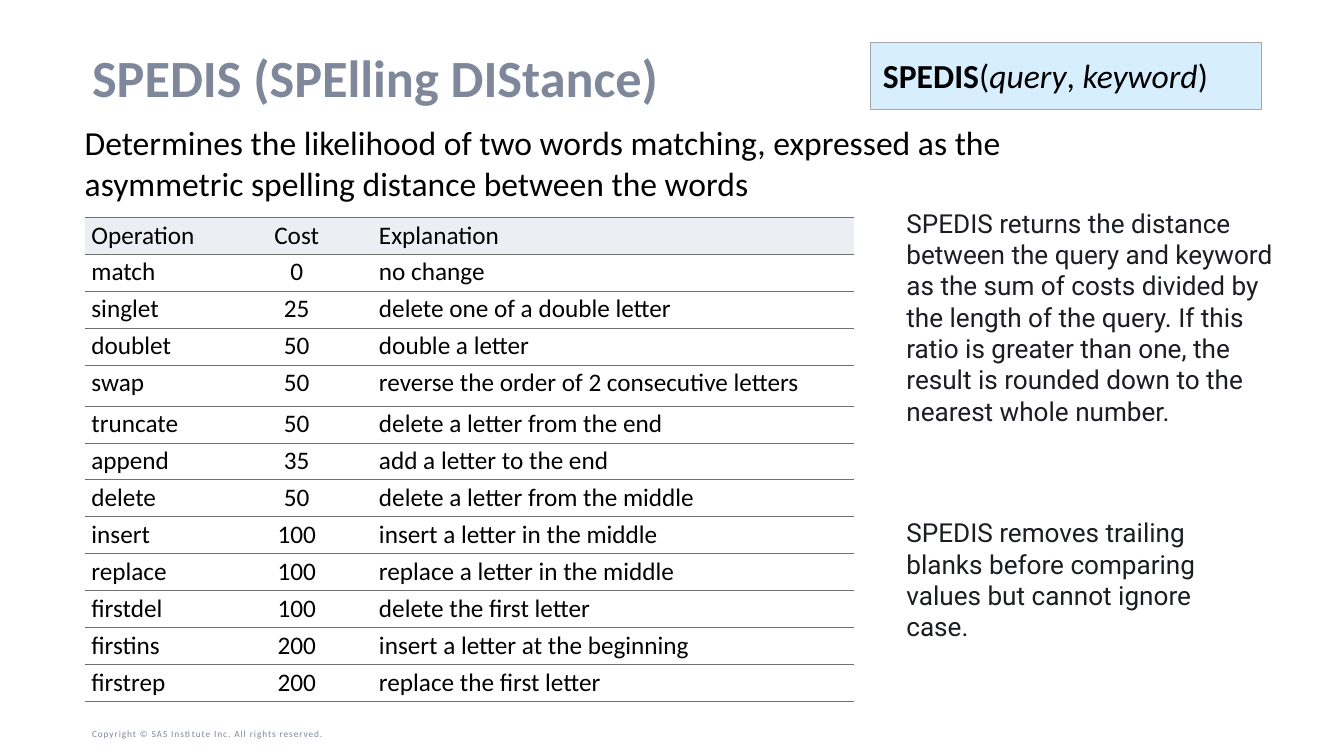
import dataclasses
import typing

import lxml.etree
import pptx
import pptx.dml.color
import pptx.enum.shapes
import pptx.enum.text
import pptx.oxml.ns
import pptx.util

SLIDE_WIDTH, SLIDE_HEIGHT = pptx.util.Inches(20), pptx.util.Inches(11.25)
GRID_COLUMNS, GRID_ROWS = 100, 45

BLACK, WHITE, SLATE, INK = "000000", "FFFFFF", "7E889A", "1B1D22"
HEADER_FILL, SYNTAX_FILL, SYNTAX_LINE, RULE = "EBEEF2", "D6EEFD", "A6A6A6", "707070"

ALIGN = pptx.enum.text.PP_ALIGN
ANCHOR = pptx.enum.text.MSO_ANCHOR


class Area(typing.NamedTuple):
    """A place on the grid of columns and rows."""
    left: float
    top: float
    width: float
    height: float


class Run(typing.NamedTuple):
    text: str
    bold: bool = False
    italic: bool = False


class Operation(typing.NamedTuple):
    name: str
    cost: str
    explanation: str


@dataclasses.dataclass
class TextBlock:
    area: Area
    runs: list[Run]
    size: float
    color: str = BLACK
    font: str = "Calibri"
    # left, top, right, bottom in grid units
    insets: tuple[float, float, float, float] = (0, 0, 0, 0)
    anchor: typing.Any = ANCHOR.TOP
    line_spacing: float = 1.0
    letter_spacing: float = 0
    fill: str = ""
    line: str = ""


DEFAULT_INSETS = (0.5, 0.2, 0.5, 0.2)

BLOCKS = [
    # Copyright line
    TextBlock(Area(6.85, 43.12, 27.5, 1.08),
              [Run("Copyright © SAS Institute Inc. All rights reserved.")],
              10, SLATE, insets=(0, 0.2, 0.5, 0.2), anchor=ANCHOR.BOTTOM, letter_spacing=1),
    # Title
    TextBlock(Area(6.85, 3.12, 86.25, 3.4), [Run("SPEDIS (SPElling DIStance)", bold=True)],
              56, SLATE, anchor=ANCHOR.MIDDLE, line_spacing=0.9),
    # Summary
    TextBlock(Area(6.3, 7.28, 78.05, 4.84),
              [Run("Determines the likelihood of two words matching, expressed as the "
                   "asymmetric spelling distance between the words")], 36),
    # Syntax box
    TextBlock(Area(64.75, 2.52, 29.15, 4),
              [Run("SPEDIS", bold=True), Run("("), Run("query", italic=True), Run(",\u00a0"),
               Run("keyword", italic=True), Run(")")],
              36, insets=(0.95, 0.76, 0.95, 0.76), fill=SYNTAX_FILL, line=SYNTAX_LINE),
    # Side notes
    TextBlock(Area(66.95, 30.56, 26.15, 7.96),
              [Run("SPEDIS removes trailing blanks before comparing values "
                   "but cannot ignore case.")],
              28, INK, "Roboto", DEFAULT_INSETS),
    TextBlock(Area(66.95, 12.12, 29.15, 13.6),
              [Run("SPEDIS returns the distance between the query and keyword as the sum of "
                   "costs divided by the length of the query. If this ratio is greater than one, "
                   "the result is rounded down to the nearest whole number.")],
              28, INK, "Roboto", DEFAULT_INSETS),
]

OPERATIONS = [
    Operation("Operation", "Cost", "Explanation"),
    Operation("match", "0", "no change"),
    Operation("singlet", "25", "delete one of a double letter"),
    Operation("doublet", "50", "double a letter"),
    Operation("swap", "50", "reverse the order of 2 consecutive letters"),
    Operation("truncate", "50", "delete a letter from the end"),
    Operation("append", "35", "add a letter to the end"),
    Operation("delete", "50", "delete a letter from the middle"),
    Operation("insert", "100", "insert a letter in the middle"),
    Operation("replace", "100", "replace a letter in the middle"),
    Operation("firstdel", "100", "delete the first letter"),
    Operation("firstins", "200", "insert a letter at the beginning"),
    Operation("firstrep", "200", "replace the first letter"),
]
TABLE_LEFT, TABLE_TOP = 6.3, 12.92
TABLE_COLUMNS = (10.15, 11.25, 35.85)
ROW_HEIGHT, SWAP_ROW_HEIGHT = 2.2, 2.44
CELL_INSETS = (0.5, 0.18, 0.5, 0.18)


def across(columns: float) -> int:
    return round(SLIDE_WIDTH * columns / GRID_COLUMNS)


def down(rows: float) -> int:
    return round(SLIDE_HEIGHT * rows / GRID_ROWS)


def place(area: Area) -> tuple[int, int, int, int]:
    return across(area.left), down(area.top), across(area.width), down(area.height)


def color(value: str) -> pptx.dml.color.RGBColor:
    return pptx.dml.color.RGBColor.from_string(value)


def apply(target: typing.Any, values: dict[str, typing.Any]) -> None:
    for name, value in values.items():
        setattr(target, name, value)


def margins(insets: tuple[float, float, float, float]) -> dict[str, int]:
    left, top, right, bottom = insets
    return {"margin_left": across(left), "margin_top": down(top),
            "margin_right": across(right), "margin_bottom": down(bottom)}


def add_run(paragraph: typing.Any, run: Run, size: float, font: str, ink: str) -> typing.Any:
    text_run = paragraph.add_run()
    text_run.text = run.text
    apply(text_run.font, {"name": font, "size": pptx.util.Pt(size),
                          "bold": run.bold, "italic": run.italic})
    text_run.font.color.rgb = color(ink)
    return text_run


def draw_block(slide: typing.Any, block: TextBlock) -> None:
    if block.fill:
        shape = slide.shapes.add_shape(pptx.enum.shapes.MSO_SHAPE.RECTANGLE, *place(block.area))
        shape.shadow.inherit = False
        shape.fill.solid()
        shape.fill.fore_color.rgb = color(block.fill)
        shape.line.color.rgb = color(block.line)
        shape.line.width = pptx.util.Pt(1)
    else:
        shape = slide.shapes.add_textbox(*place(block.area))
    apply(shape.text_frame, {"word_wrap": True, "vertical_anchor": block.anchor,
                             **margins(block.insets)})
    paragraph = shape.text_frame.paragraphs[0]
    apply(paragraph, {"alignment": ALIGN.LEFT, "line_spacing": block.line_spacing})
    for run in block.runs:
        text_run = add_run(paragraph, run, block.size, block.font, block.color)
        if block.letter_spacing:
            text_run.font._element.set("spc", str(round(block.letter_spacing * 100)))


def set_borders(cell: typing.Any) -> None:
    """Rule the cell above and below, and leave its sides open."""
    properties = cell._tc.get_or_add_tcPr()
    qualify = pptx.oxml.ns.qn
    for index, side in enumerate(("lnL", "lnR", "lnT", "lnB")):
        border = lxml.etree.Element(qualify(f"a:{side}"), w=str(pptx.util.Pt(0.75)))
        if side in ("lnT", "lnB"):
            fill = lxml.etree.SubElement(border, qualify("a:solidFill"))
            lxml.etree.SubElement(fill, qualify("a:srgbClr"), val=RULE)
        else:
            lxml.etree.SubElement(border, qualify("a:noFill"))
        properties.insert(index, border)


def draw_table(slide: typing.Any, operations: list[Operation]) -> None:
    heights = [SWAP_ROW_HEIGHT if row.name == "swap" else ROW_HEIGHT for row in operations]
    area = Area(TABLE_LEFT, TABLE_TOP, sum(TABLE_COLUMNS), sum(heights))
    table = slide.shapes.add_table(len(operations), len(TABLE_COLUMNS), *place(area)).table
    apply(table, {"first_row": False, "horz_banding": False})
    for column, width in zip(table.columns, TABLE_COLUMNS):
        column.width = across(width)
    for index, (operation, height) in enumerate(zip(operations, heights)):
        table.rows[index].height = down(height)
        header = index == 0
        for column, text in enumerate(operation):
            cell = table.cell(index, column)
            apply(cell, {"vertical_anchor": ANCHOR.BOTTOM if header else ANCHOR.TOP,
                         **margins(CELL_INSETS)})
            cell.fill.solid()
            cell.fill.fore_color.rgb = color(HEADER_FILL if header else WHITE)
            set_borders(cell)
            paragraph = cell.text_frame.paragraphs[0]
            paragraph.alignment = ALIGN.CENTER if column == 1 else ALIGN.LEFT
            add_run(paragraph, Run(text), 27, "Calibri", BLACK)


def main() -> None:
    presentation = pptx.Presentation()
    apply(presentation, {"slide_width": SLIDE_WIDTH, "slide_height": SLIDE_HEIGHT})
    slide = presentation.slides.add_slide(presentation.slide_layouts[6])
    for block in BLOCKS:
        draw_block(slide, block)
    draw_table(slide, OPERATIONS)
    presentation.save("out.pptx")


if __name__ == "__main__":
    main()
